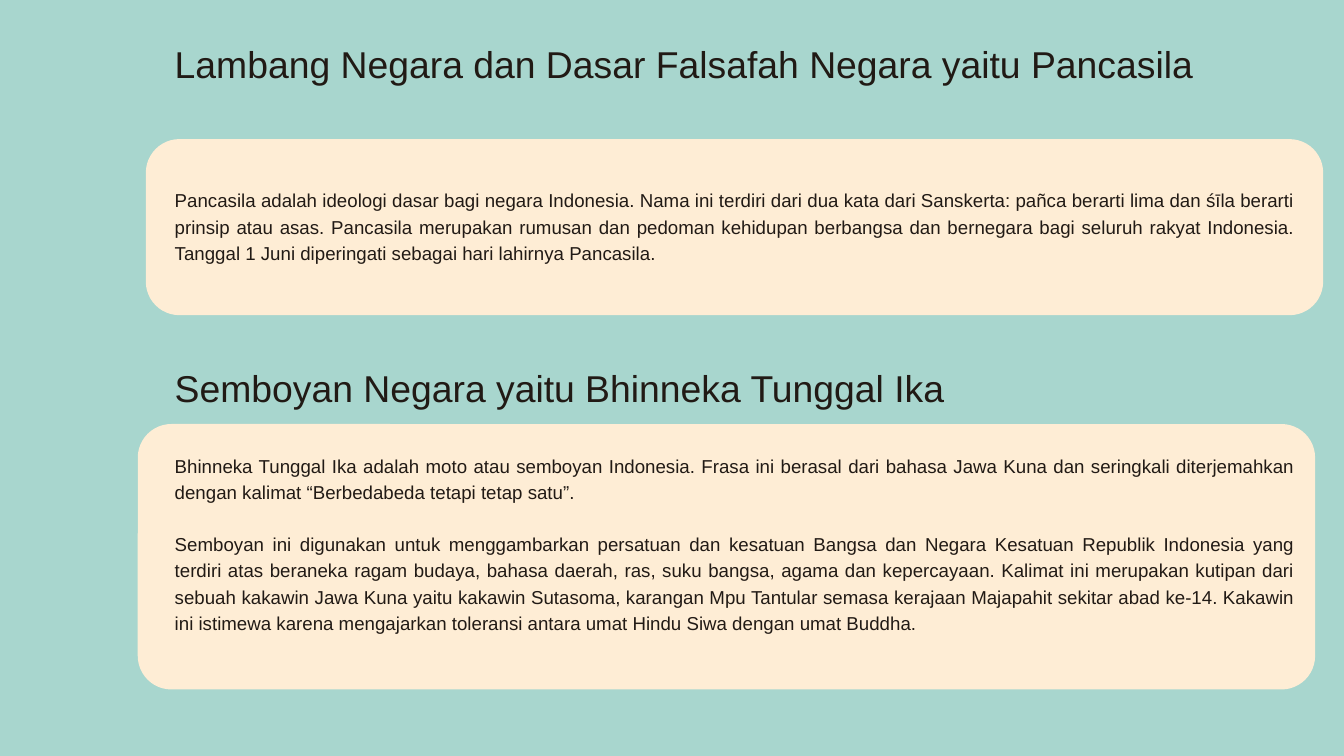
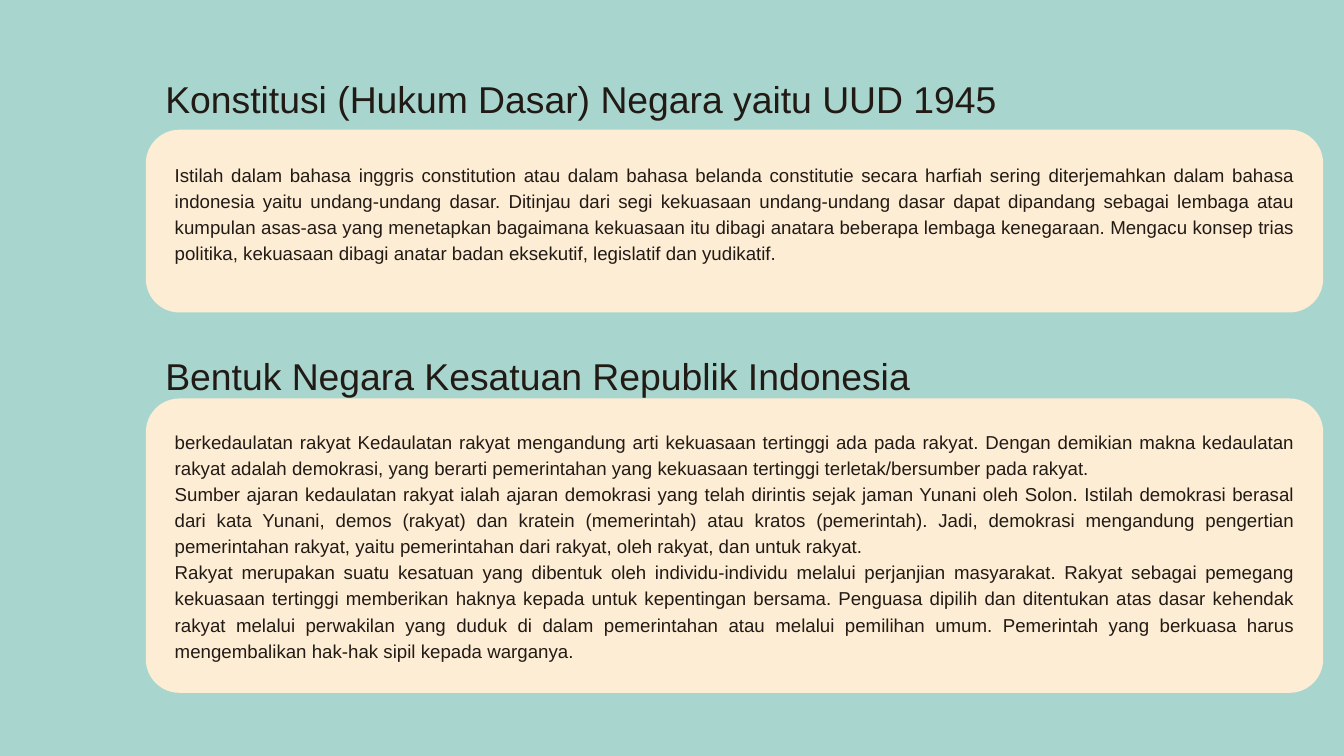
import pptx
import pptx.dml.color
import pptx.enum.shapes
import pptx.enum.text
import pptx.util
from lxml import etree
from pptx.util import Inches, Pt

ALIGN = pptx.enum.text.PP_ALIGN
COLORS = {"background": "A8D6CE", "card": "FEEDD5", "text": "211A15"}
HEADING = {"size": 40, "line": 56, "align": ALIGN.LEFT}
BODY = {"size": 20, "line": 28, "align": ALIGN.JUSTIFY}
CARD_WIDTH, CARD_RADIUS = 17.52, 0.5
BODY_LEFT, BODY_WIDTH = 2.6, 16.67
COMPARISON_LAYOUT = 4
FIRST_HEADING, SPARE, FIRST_BODY, SECOND_HEADING, SECOND_BODY = range(5)


def rgb(name):
    return pptx.dml.color.RGBColor.from_string(COLORS[name])


class Deck:
    """Holds the presentation, its style and the current slide."""

    def __init__(self):
        self.prs = pptx.Presentation()
        self.prs.slide_width, self.prs.slide_height = Inches(20), Inches(11.25)
        fill = self.prs.slide_master.background.fill
        fill.solid()
        fill.fore_color.rgb = rgb("background")

    def slide(self):
        self.s = self.prs.slides.add_slide(self.prs.slide_layouts[COMPARISON_LAYOUT])
        spare = self.s.placeholders[SPARE].element
        spare.getparent().remove(spare)

    def card(self, left, top, height):
        """Add a rounded card behind the text."""
        sp = self.s.shapes.add_shape(
            pptx.enum.shapes.MSO_SHAPE.ROUNDED_RECTANGLE,
            Inches(left), Inches(top), Inches(CARD_WIDTH), Inches(height))
        sp.adjustments[0] = CARD_RADIUS / height
        sp.shadow.inherit = False
        sp.fill.solid()
        sp.fill.fore_color.rgb = rgb("card")
        sp.line.fill.background()
        self.s.shapes._spTree.insert(2, sp.element)

    def text(self, idx, box, paragraphs, style, gap=0):
        """Fill a placeholder; gap is the space in points between paragraphs."""
        sp = self.s.placeholders[idx]
        for name, value in zip(("left", "top", "width", "height"), box):
            setattr(sp, name, Inches(value))
        tf = sp.text_frame
        frame = {"margin_left": 0, "margin_top": 0, "margin_right": 0,
                 "margin_bottom": 0, "word_wrap": True,
                 "auto_size": pptx.enum.text.MSO_AUTO_SIZE.NONE,
                 "vertical_anchor": pptx.enum.text.MSO_ANCHOR.TOP}
        for name, value in frame.items():
            setattr(tf, name, value)
        for i, words in enumerate(paragraphs):
            p = tf.add_paragraph() if i else tf.paragraphs[0]
            spacing = {"alignment": style["align"], "line_spacing": Pt(style["line"]),
                       "space_before": Pt(gap if i else 0), "space_after": Pt(0)}
            for name, value in spacing.items():
                setattr(p, name, value)
            pPr = p._p.get_or_add_pPr()
            pPr.set("marL", "0")
            pPr.set("indent", "0")
            etree.SubElement(pPr, pptx.oxml.ns.qn("a:buNone"))
            r = p.add_run()
            r.text = words
            font = {"name": "Arial", "size": Pt(style["size"]), "bold": False}
            for name, value in font.items():
                setattr(r.font, name, value)
            r.font.color.rgb = rgb("text")

    def heading(self, idx, left, top, width, words):
        self.text(idx, (left, top, width, 0.8), [words], HEADING)

    def body(self, idx, top, height, paragraphs, gap=0):
        self.text(idx, (BODY_LEFT, top, BODY_WIDTH, height), paragraphs, BODY, gap)


def add_symbols(deck):
    deck.slide()
    deck.card(2.17, 2.07, 2.62)
    deck.heading(FIRST_HEADING, 2.6, 0.5, 16.95,
                 "Lambang Negara dan Dasar Falsafah Negara yaitu Pancasila")
    deck.body(FIRST_BODY, 2.76, 1.16, [
        "Pancasila adalah ideologi dasar bagi negara Indonesia. Nama ini terdiri dari dua "
        "kata dari Sanskerta: pañca berarti lima dan śīla berarti prinsip atau asas. "
        "Pancasila merupakan rumusan dan pedoman kehidupan berbangsa dan bernegara bagi "
        "seluruh rakyat Indonesia. Tanggal 1 Juni diperingati sebagai hari lahirnya "
        "Pancasila."])
    deck.card(2.05, 6.31, 3.95)
    deck.heading(SECOND_HEADING, 2.6, 5.32, 14.12,
                 "Semboyan Negara yaitu Bhinneka Tunggal Ika")
    deck.body(SECOND_BODY, 6.71, 3.09, [
        "Bhinneka Tunggal Ika adalah moto atau semboyan Indonesia. Frasa ini berasal dari "
        "bahasa Jawa Kuna dan seringkali diterjemahkan dengan kalimat “Berbedabeda tetapi "
        "tetap satu”.",
        "Semboyan ini digunakan untuk menggambarkan persatuan dan kesatuan Bangsa dan "
        "Negara Kesatuan Republik Indonesia yang terdiri atas beraneka ragam budaya, "
        "bahasa daerah, ras, suku bangsa, agama dan kepercayaan. Kalimat ini merupakan "
        "kutipan dari sebuah kakawin Jawa Kuna yaitu kakawin Sutasoma, karangan Mpu "
        "Tantular semasa kerajaan Majapahit sekitar abad ke-14. Kakawin ini istimewa "
        "karena mengajarkan toleransi antara umat Hindu Siwa dengan umat Buddha."],
        gap=BODY["line"])


def add_constitution(deck):
    deck.slide()
    deck.card(2.17, 1.93, 2.72)
    deck.heading(FIRST_HEADING, 2.46, 1.02, 17.68,
                 "Konstitusi (Hukum Dasar) Negara yaitu UUD 1945")
    deck.body(FIRST_BODY, 2.38, 1.55, [
        "Istilah dalam bahasa inggris constitution atau dalam bahasa belanda constitutie "
        "secara harfiah sering diterjemahkan dalam bahasa indonesia yaitu undang-undang "
        "dasar. Ditinjau dari segi kekuasaan undang-undang dasar dapat dipandang sebagai "
        "lembaga atau kumpulan asas-asa yang menetapkan bagaimana kekuasaan itu dibagi "
        "anatara beberapa lembaga kenegaraan. Mengacu konsep trias politika, kekuasaan "
        "dibagi anatar badan eksekutif, legislatif dan yudikatif."])
    deck.card(2.17, 5.93, 4.38)
    deck.heading(SECOND_HEADING, 2.46, 5.14, 14.12,
                 "Bentuk Negara Kesatuan Republik Indonesia")
    deck.body(SECOND_BODY, 6.35, 3.48, [
        "berkedaulatan rakyat Kedaulatan rakyat mengandung arti kekuasaan tertinggi ada "
        "pada rakyat. Dengan demikian makna kedaulatan rakyat adalah demokrasi, yang "
        "berarti pemerintahan yang kekuasaan tertinggi terletak/bersumber pada rakyat.",
        "Sumber ajaran kedaulatan rakyat ialah ajaran demokrasi yang telah dirintis sejak "
        "jaman Yunani oleh Solon. Istilah demokrasi berasal dari kata Yunani, demos "
        "(rakyat) dan kratein (memerintah) atau kratos (pemerintah). Jadi, demokrasi "
        "mengandung pengertian pemerintahan rakyat, yaitu pemerintahan dari rakyat, oleh "
        "rakyat, dan untuk rakyat.",
        "Rakyat merupakan suatu kesatuan yang dibentuk oleh individu-individu melalui "
        "perjanjian masyarakat. Rakyat sebagai pemegang kekuasaan tertinggi memberikan "
        "haknya kepada untuk kepentingan bersama. Penguasa dipilih dan ditentukan atas "
        "dasar kehendak rakyat melalui perwakilan yang duduk di dalam pemerintahan atau "
        "melalui pemilihan umum. Pemerintah yang berkuasa harus mengembalikan hak-hak "
        "sipil kepada warganya."])


def main():
    deck = Deck()
    add_symbols(deck)
    add_constitution(deck)
    deck.prs.save("out.pptx")


if __name__ == "__main__":
    main()
